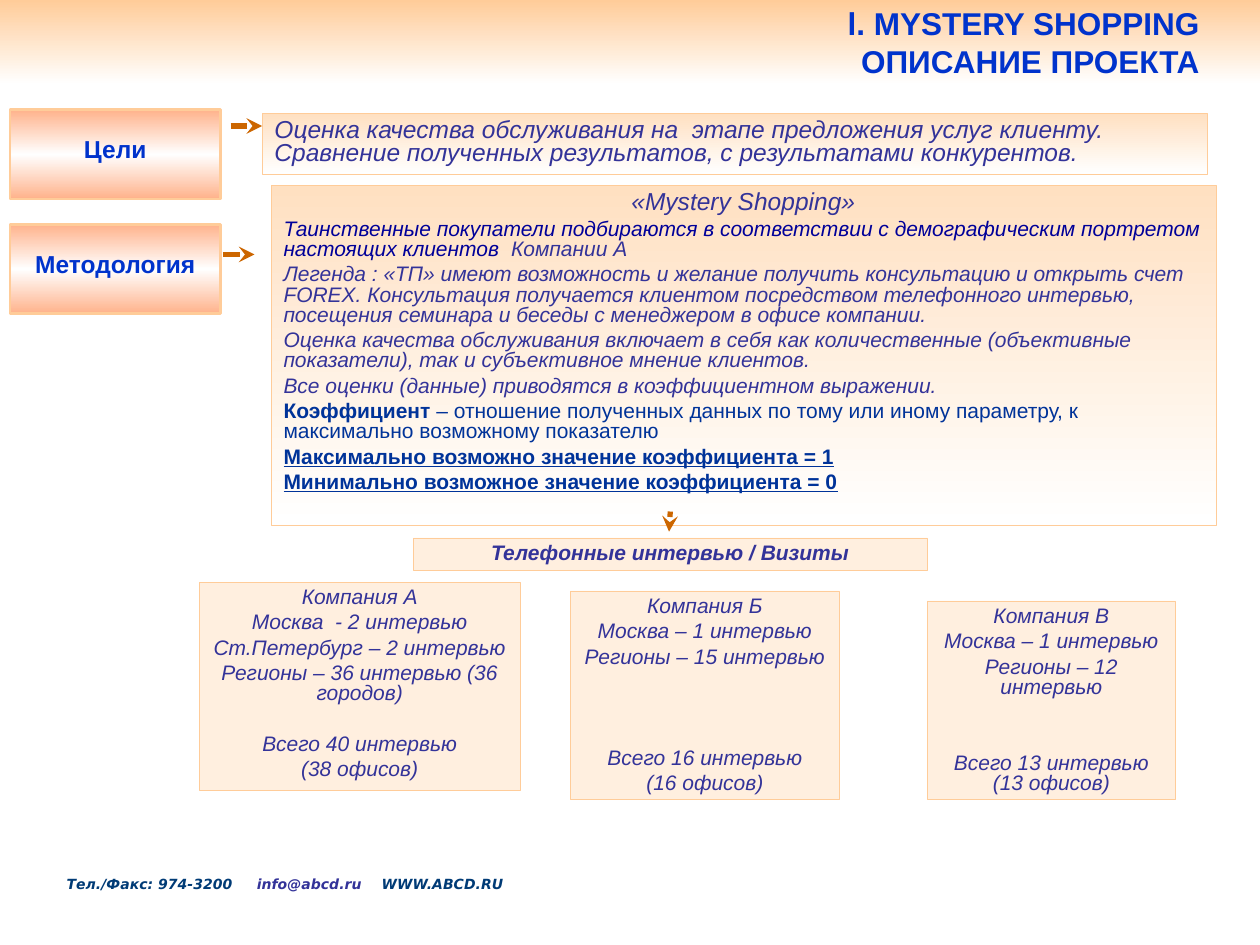
from copy import deepcopy

from lxml import etree
from pptx import Presentation
from pptx.dml.color import RGBColor
from pptx.enum.shapes import MSO_CONNECTOR, MSO_SHAPE
from pptx.enum.text import MSO_ANCHOR, MSO_AUTO_SIZE, PP_ALIGN
from pptx.oxml.ns import qn
from pptx.util import Inches, Pt

LEFT, CENTER, RIGHT = PP_ALIGN.LEFT, PP_ALIGN.CENTER, PP_ALIGN.RIGHT
TOP, MIDDLE = MSO_ANCHOR.TOP, MSO_ANCHOR.MIDDLE
RECTANGLE, STRAIGHT = MSO_SHAPE.RECTANGLE, MSO_CONNECTOR.STRAIGHT
NO_AUTOFIT = MSO_AUTO_SIZE.NONE

BLUE = RGBColor(0x00, 0x33, 0xCC)
INDIGO = RGBColor(0x33, 0x33, 0x99)
NAVY = RGBColor(0x00, 0x00, 0x99)
COBALT = RGBColor(0x00, 0x33, 0x99)
TEAL = RGBColor(0x00, 0x3B, 0x76)
PEACH = RGBColor(0xFF, 0xCC, 0x99)
PALE_PEACH = RGBColor(0xFF, 0xE0, 0xC1)
SALMON = RGBColor(0xFF, 0xB2, 0x8B)
BROWN = RGBColor(0xCC, 0x66, 0x00)
WHITE = RGBColor(0xFF, 0xFF, 0xFF)

# Content
TITLE = "l. MYSTERY SHOPPING\vОПИСАНИЕ ПРОЕКТА"
LABELS = [("Цели", 0.87), ("Методология", 1.78)]
GOALS = ("Оценка качества обслуживания на  этапе предложения услуг клиенту. "
         "Сравнение полученных результатов, с результатами конкурентов.")
METHOD_TITLE = "«Mystery Shopping»"
STRONG = {"color": COBALT, "bold": True, "italic": False}
PLAIN = {"color": COBALT, "italic": False}
UNDERLINED = {**STRONG, "underline": True}
METHOD = [  # each paragraph is a list of (text, format)
    [("Таинственные покупатели подбираются в соответствии с демографическим "
      "портретом настоящих клиентов  ", {"color": NAVY}), ("Компании А", {})],
    [("Легенда : «ТП» имеют возможность и желание получить консультацию и "
      "открыть счет FOREX. Консультация получается клиентом посредством "
      "телефонного интервью, посещения семинара и беседы с менеджером в офисе "
      "компании.", {})],
    [("Оценка качества обслуживания включает в себя как количественные "
      "(объективные показатели), так и субъективное мнение клиентов.", {})],
    [("Все оценки (данные) приводятся в коэффициентном выражении.", {})],
    [("Коэффициент", STRONG),
     (" – отношение полученных данных по тому или иному параметру, к "
      "максимально возможному показателю", PLAIN)],
    [("Максимально возможно значение коэффициента = 1", UNDERLINED)],
    [("Минимально возможное значение коэффициента = 0", UNDERLINED)],
]
INTERVIEWS = "Телефонные интервью / Визиты"
COMPANIES = [  # box, lines, totals, gap above totals in points
    ((1.58, 4.62, 2.55, 1.65),
     ["Компания А", "Москва  - 2 интервью", "Ст.Петербург – 2 интервью",
      "Регионы – 36 интервью (36 городов)"],
     ["Всего 40 интервью", "(38 офисов)"], 17.4),
    ((4.53, 4.69, 2.13, 1.65),
     ["Компания Б", "Москва – 1 интервью", "Регионы – 15 интервью"],
     ["Всего 16 интервью", "(16 офисов)"], 46.3),
    ((7.36, 4.77, 1.97, 1.57),
     ["Компания В", "Москва – 1 интервью", "Регионы – 12 интервью"],
     ["Всего 13 интервью (13 офисов)"], 31.9),
]
ARROWS = [(1.83, 1, 2.08, 1), (1.77, 2.02, 2.02, 2.02), (5.32, 4.06, 5.31, 4.22)]
CONTACTS = [("Тел./Факс: 974-3200", TEAL), ("\tinfo@abcd.ru", INDIGO),
            ("\tWWW.ABCD.RU", TEAL)]
CONTACT_TABS = [1.51, 2.5]


def add_span(para, text, size=12, font="Arial", color=INDIGO, bold=False,
             italic=True, underline=False):
    para.add_run().text = text
    for span in para.runs:
        if span.text == text:
            style = span.font
            style.size, style.name, style.color.rgb = Pt(size), font, color
            style.bold, style.italic, style.underline = bold, italic, underline


def add_para(box, spans, align=LEFT, before=3, spacing=0.8):
    frame = box.text_frame
    first = frame.paragraphs[0]
    para = frame.add_paragraph() if first.runs else first
    para.alignment, para.line_spacing = align, spacing
    para.space_before = Pt(before)
    for text, style in spans:
        add_span(para, text, **style)
    return para


def place(box, left, top, width, height):
    box.left, box.top = Inches(left), Inches(top)
    box.width, box.height = Inches(width), Inches(height)


def setup_frame(box, anchor=TOP, top=0.05, right=0.1):
    frame = box.text_frame
    frame.word_wrap, frame.auto_size = True, NO_AUTOFIT
    frame.vertical_anchor = anchor
    frame.margin_left, frame.margin_right = Inches(0.1), Inches(right)
    frame.margin_top, frame.margin_bottom = Inches(top), Inches(0.05)


def fill_gradient(box, *colors):
    box.fill.gradient()
    box.fill.gradient_angle = 270
    stop_list = box.element.spPr.find(".//" + qn("a:gsLst"))
    for _ in colors[2:]:
        stop_list.append(deepcopy(stop_list[-1]))
    for index, (stop, color) in enumerate(zip(box.fill.gradient_stops, colors)):
        stop.color.rgb = color
        stop.position = index / (len(colors) - 1)


def fill_translucent(box):
    box.fill.solid()
    box.fill.fore_color.rgb = PALE_PEACH
    color = box.element.spPr.find(".//" + qn("a:srgbClr"))
    etree.SubElement(color, qn("a:alpha")).set("val", "50000")


def outline(box, width=0.25):
    box.line.color.rgb, box.line.width = PEACH, Pt(width)


def add_box(page, left, top, width, height, colors=None, line=0.25, inset=0.05):
    box = page.shapes.add_shape(RECTANGLE, 0, 0, 0, 0)
    place(box, left, top, width, height)
    box.shadow.inherit = False
    if colors:
        fill_gradient(box, *colors)
    else:
        fill_translucent(box)
    outline(box, line)
    setup_frame(box, top=inset)
    return box


def add_arrow(page, *ends):
    arrow = page.shapes.add_connector(STRAIGHT, *map(Inches, ends))
    arrow.line.color.rgb, arrow.line.width = BROWN, Pt(3)
    etree.SubElement(arrow.line._get_or_add_ln(), qn("a:tailEnd")).set("type", "stealth")
    etree.SubElement(arrow.element.spPr, qn("a:effectLst"))


deck = Presentation()
deck.slide_width, deck.slide_height = Inches(10), Inches(7.5)
page = deck.slides.add_slide(deck.slide_layouts[1])

# Title band
title = page.shapes.title
place(title, 0, 0, 10, 0.67)
fill_gradient(title, PEACH, WHITE)
setup_frame(title, MIDDLE, right=0.48)
heading = title.text_frame.paragraphs[0]
heading.text, heading.alignment = TITLE, RIGHT
for span in heading.runs:
    span.font.size, span.font.name, span.font.bold = Pt(18), "Arial", True
    span.font.color.rgb = BLUE

# Section labels and goals
for label, top in LABELS:
    box = add_box(page, 0.08, top, 1.67, 0.71, (SALMON, WHITE, SALMON), 1.5, 0.24)
    add_para(box, [(label, {"size": 14, "color": BLUE, "bold": True, "italic": False})],
             CENTER, 0)
goals = add_box(page, 2.08, 0.9, 7.5, 0.48, (PALE_PEACH, WHITE))
add_para(goals, [(GOALS, {"size": 14})], before=3.5)

# Methodology
method = page.placeholders[1]
place(method, 2.15, 1.47, 7.5, 2.7)
fill_gradient(method, PALE_PEACH, WHITE)
outline(method)
setup_frame(method)
add_para(method, [(METHOD_TITLE, {"size": 14})], CENTER, 3.5)
for spans in METHOD:
    add_para(method, spans)
for para in method.text_frame.paragraphs:
    settings = para._p.get_or_add_pPr()
    settings.set("marL", "0")
    settings.set("indent", "0")
    etree.SubElement(settings, qn("a:buNone"))

# Interviews by company
interviews = add_box(page, 3.28, 4.27, 4.08, 0.26)
add_para(interviews, [(INTERVIEWS, {"bold": True})], CENTER)
for bounds, lines, totals, gap in COMPANIES:
    box = add_box(page, *bounds)
    for index, text in enumerate(lines + totals):
        add_para(box, [(text, {})], CENTER, gap if index == len(lines) else 3)
for ends in ARROWS:
    add_arrow(page, *ends)

# Contacts
contacts = page.shapes.add_textbox(0, 0, 0, 0)
place(contacts, 0.43, 6.9, 5.91, 0.44)
setup_frame(contacts)
style = {"size": 8, "font": "DejaVu Sans", "bold": True}
para = add_para(contacts, [(text, {**style, "color": color}) for text, color in CONTACTS],
                before=0, spacing=1.0)
tabs = etree.SubElement(para._p.get_or_add_pPr(), qn("a:tabLst"))
for position in CONTACT_TABS:
    etree.SubElement(tabs, qn("a:tab"), pos=str(Inches(position)), algn="l")

deck.save("out.pptx")
